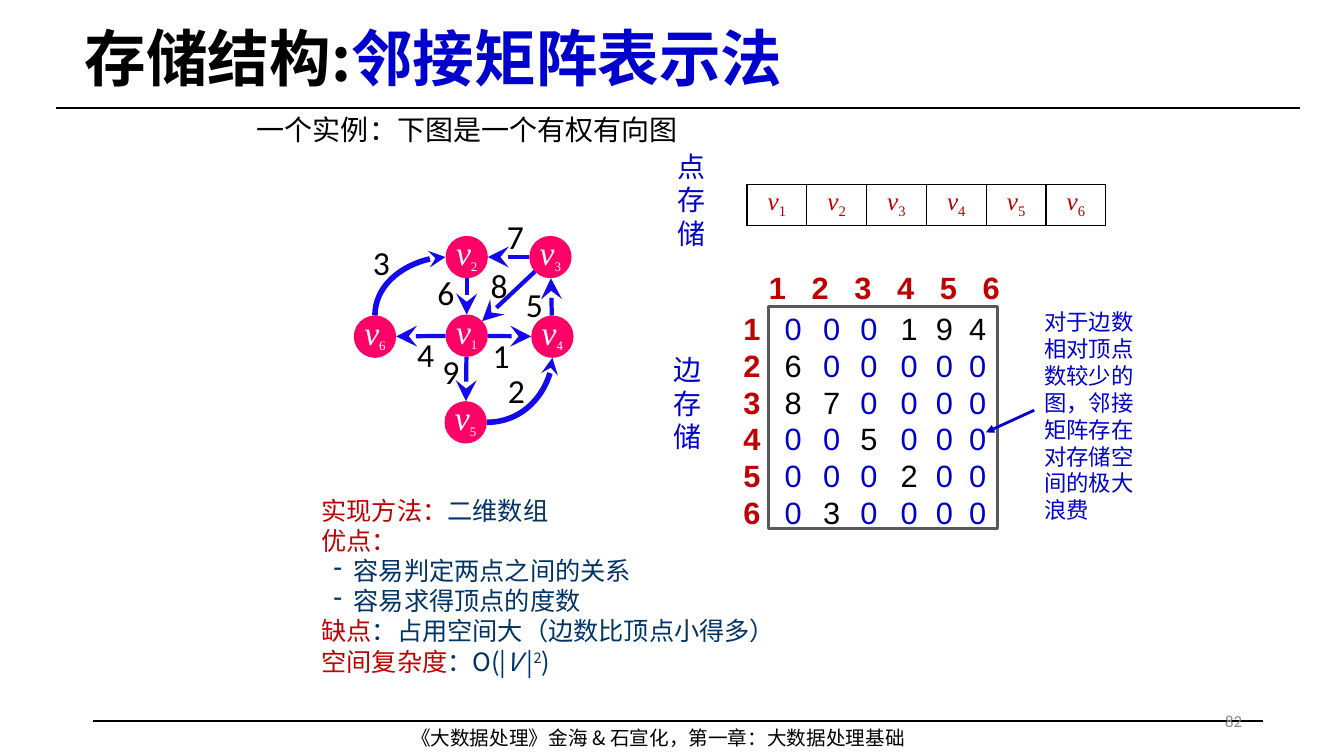
from math import hypot

from lxml.etree import SubElement
from pptx import Presentation
from pptx.dml.color import RGBColor
from pptx.enum.shapes import MSO_CONNECTOR, MSO_SHAPE
from pptx.enum.text import MSO_ANCHOR, PP_ALIGN
from pptx.oxml.ns import qn
from pptx.util import Inches, Pt

# All lengths count cells of a square grid, 133.3 columns by 75 rows.
CELL = Inches(0.1)
COLUMNS, ROWS = 133.33, 75

BLACK = RGBColor(0x00, 0x00, 0x00)
WHITE = RGBColor(0xFF, 0xFF, 0xFF)
BLUE = RGBColor(0x00, 0x00, 0xCC)
EDGE_BLUE = RGBColor(0x13, 0x08, 0xEE)
NAVY = RGBColor(0x00, 0x33, 0x66)
RED = RGBColor(0xC0, 0x00, 0x00)
PINK = RGBColor(0xFF, 0x00, 0x66)
FRAME_GRAY = RGBColor(0x59, 0x59, 0x59)
PAGE_GRAY = RGBColor(0x8C, 0x8C, 0x8C)

CJK, ARIAL, CALIBRI, TIMES = "Noto Sans CJK SC", "Arial", "Calibri", "Times New Roman"

RADIUS = 2.1
VERTEX_CENTERS = {1: (46.3, 33.3), 2: (46.3, 25.5), 3: (54.6, 25.5),
                  4: (54.8, 33.4), 5: (46.2, 41.9), 6: (37.2, 33.4)}
# (from, to): weight, left and top of the weight's label
EDGES = {(1, 4): (1, 47.9, 32.7), (1, 5): (9, 42.9, 34.3), (1, 6): (4, 40.4, 32.6),
         (2, 1): (6, 42.4, 26.5), (3, 1): (8, 47.7, 25.8), (3, 2): (7, 49.3, 20.9),
         (4, 3): (5, 51.2, 27.7), (5, 4): (2, 49.4, 36.2), (6, 2): (3, 36, 23.5)}
CURVED_EDGES = [(5, 4), (6, 2)]
MATRIX_COLUMN_LEFTS = [77, 80.8, 84.5, 88.5, 92, 95.3]
HEADER_STEP = 4.24


def cells(*counts):
    return [round(count * CELL) for count in counts]


def style_run(run, size, font, color, bold=False, italic=False, baseline=0):
    run.font.size = Pt(size)
    run.font.name = font
    run.font.bold = bold
    run.font.italic = italic
    run.font.color.rgb = color
    properties = run.font._element
    SubElement(properties, qn("a:ea")).set("typeface", font)
    if baseline:
        properties.set("baseline", str(baseline * 1000))


def write(frame, paragraphs, size, font, color, align=PP_ALIGN.LEFT, spacing=None, bold=False):
    """Fill a frame; each paragraph is a string or a list of (text, style changes)."""
    for index, content in enumerate(paragraphs):
        paragraph = frame.add_paragraph() if index else frame.paragraphs[0]
        paragraph.alignment = align
        paragraph.line_spacing = spacing or Pt(size * 1.2)
        pieces = [(content, {})] if isinstance(content, str) else content
        for text, changes in pieces:
            run = paragraph.add_run()
            run.text = text
            style_run(run, **{"size": size, "font": font, "color": color, "bold": bold, **changes})


def add_text(slide, box, paragraphs, size, font, color, wrap=True, side_inset=1, **options):
    textbox = slide.shapes.add_textbox(*cells(*box))
    frame = textbox.text_frame
    frame.word_wrap = wrap
    frame.margin_left = frame.margin_right = round(side_inset * CELL)
    write(frame, paragraphs, size, font, color, **options)
    return textbox


def add_line(slide, start, end, color, width, kind=MSO_CONNECTOR.STRAIGHT,
             arrow=None, arrow_end="tailEnd", arrow_size="med"):
    line = slide.shapes.add_connector(kind, *cells(*start, *end))
    line.line.color.rgb = color
    line.line.width = Pt(width)
    if arrow:
        tip = SubElement(line.line._get_or_add_ln(), qn(f"a:{arrow_end}"))
        for key, value in (("type", arrow), ("w", arrow_size), ("len", arrow_size)):
            tip.set(key, value)
    SubElement(line._element.spPr, qn("a:effectLst"))
    return line


def add_arc(slide, start, end, arrow_end):
    """Draw a quarter bend that leaves start sideways and meets end upright."""
    arc = add_line(slide, start, end, EDGE_BLUE, 4, MSO_CONNECTOR.CURVE, "stealth", arrow_end)
    arc._element.spPr.find(qn("a:prstGeom")).set("prst", "curvedConnector2")


def vertex_name(number):
    return [("v", {"italic": True}), (str(number), {"baseline": -25})]


def add_vertex(slide, number):
    x, y = VERTEX_CENTERS[number]
    vertex = slide.shapes.add_shape(
        MSO_SHAPE.OVAL, *cells(x - RADIUS, y - RADIUS, 2 * RADIUS, 2 * RADIUS))
    vertex.shadow.inherit = False
    vertex.fill.solid()
    vertex.fill.fore_color.rgb = PINK
    vertex.line.fill.background()
    frame = vertex.text_frame
    frame.word_wrap = False
    frame.vertical_anchor = MSO_ANCHOR.MIDDLE
    frame.margin_left = frame.margin_right = frame.margin_top = 0
    frame.margin_bottom = round(0.7 * CELL)
    letter, index = vertex_name(number)
    index[1]["size"] = 16
    write(frame, [[letter, index]], 24, TIMES, WHITE, align=PP_ALIGN.CENTER)


def add_straight_edge(slide, source, target):
    (x1, y1), (x2, y2) = VERTEX_CENTERS[source], VERTEX_CENTERS[target]
    share = RADIUS / hypot(x2 - x1, y2 - y1)
    dx, dy = (x2 - x1) * share, (y2 - y1) * share
    add_line(slide, (x1 + dx, y1 + dy), (x2 - dx, y2 - dy), EDGE_BLUE, 3,
             arrow="stealth", arrow_size="lg")


def add_graph(slide):
    for number in VERTEX_CENTERS:
        add_vertex(slide, number)
    for edge, (weight, left, top) in EDGES.items():
        if edge not in CURVED_EDGES:
            add_straight_edge(slide, *edge)
        add_text(slide, (left, top, 3.7, 5.1), [str(weight)], 24, CALIBRI, BLACK, wrap=False)
    (x2, y2), (x4, y4), (x5, y5), (x6, y6) = (VERTEX_CENTERS[n] for n in (2, 4, 5, 6))
    add_arc(slide, (x5 + RADIUS, y5), (x4, y4 + RADIUS), "tailEnd")
    add_arc(slide, (x2 - RADIUS, y2), (x6, y6 - RADIUS), "headEnd")


def add_vertex_table(slide):
    graphic = slide.shapes.add_table(1, len(VERTEX_CENTERS), *cells(74.1, 18.3, 35.6, 4.1))
    table = graphic.table
    table.first_row = table.horz_banding = False
    for number, cell in enumerate(table.rows[0].cells, 1):
        write(cell.text_frame, [vertex_name(number)], 18, TIMES, RED, align=PP_ALIGN.CENTER)
        cell.fill.background()
        properties = cell._tc.get_or_add_tcPr()
        for position, side in enumerate(("lnL", "lnR", "lnT", "lnB")):
            border = SubElement(properties, qn(f"a:{side}"))
            border.set("w", str(Pt(1)))
            fill = SubElement(border, qn("a:solidFill"))
            SubElement(fill, qn("a:srgbClr")).set("val", str(BLACK))
            properties.insert(position, border)


def add_matrix(slide):
    frame = slide.shapes.add_shape(MSO_SHAPE.RECTANGLE, *cells(76.2, 30.4, 22.8, 22))
    frame.shadow.inherit = False
    frame.fill.background()
    frame.line.color.rgb = FRAME_GRAY
    frame.line.width = Pt(2)

    numbers = [str(number) for number in VERTEX_CENTERS]
    add_text(slide, (72.9, 30.2, 3.4, 22), numbers, 22, ARIAL, RED,
             side_inset=0, align=PP_ALIGN.CENTER, bold=True)
    header = add_text(slide, (75.3, 26.2, 27, 2.9), ["\t".join(numbers)], 22, ARIAL, RED, bold=True)
    tabs = SubElement(header.text_frame.paragraphs[0]._p.get_or_add_pPr(), qn("a:tabLst"))
    for step in range(1, len(numbers)):
        stop = SubElement(tabs, qn("a:tab"))
        stop.set("pos", str(round(step * HEADER_STEP * CELL)))
        stop.set("algn", "l")

    for target, left in enumerate(MATRIX_COLUMN_LEFTS, 1):
        weights = [EDGES.get((source, target), (0,))[0] for source in VERTEX_CENTERS]
        column = [[(str(weight), {"color": BLACK if weight else BLUE})] for weight in weights]
        add_text(slide, (left, 30.2, 3.4, 22), column, 22, ARIAL, BLUE,
                 side_inset=0, align=PP_ALIGN.CENTER)


def add_summary(slide):
    red = {"color": RED}
    summary = add_text(slide, (30.9, 48.6, 51.2, 19.2), [
        [("实现方法：", red), ("二维数组", {})],
        [("优点：", red)],
        "容易判定两点之间的关系",
        "容易求得顶点的度数",
        [("缺点", red), ("：占用空间大（边数比顶点小得多）", {})],
        [("空间复杂度", red), ("：O(|", {}), ("V ", {"italic": True}), ("|", {}),
         ("2", {"baseline": 30}), (")", {})],
    ], 18, CJK, NAVY)
    for advantage in summary.text_frame.paragraphs[2:4]:
        properties = advantage._p.get_or_add_pPr()
        properties.set("marL", str(round(3.2 * CELL)))
        properties.set("indent", str(round(-2 * CELL)))
        SubElement(properties, qn("a:buChar")).set("char", "-")


def add_title(slide):
    title = slide.shapes.title
    title.left, title.top, title.width, title.height = cells(7.4, 1.5, 119.5, 9.2)
    title.text_frame.vertical_anchor = MSO_ANCHOR.MIDDLE
    write(title.text_frame, [[("存储结构:", {}), ("邻接矩阵表示法", {"color": BLUE})]],
          44, CJK, BLACK, spacing=0.9, bold=True)


def main():
    deck = Presentation()
    deck.slide_width, deck.slide_height = cells(COLUMNS, ROWS)
    slide = deck.slides.add_slide(deck.slide_layouts[5])

    add_line(slide, (5.6, 10.7), (129, 10.7), BLACK, 1.75)
    add_line(slide, (9.2, 71.5), (125.3, 71.5), BLACK, 1.25)
    add_text(slide, (39.8, 71.5, 53.7, 3.4),
             ["《大数据处理》金海 & 石宣化，第一章：大数据处理基础"], 14, CJK, BLACK)
    add_title(slide)
    add_text(slide, (24.5, 10.7, 44.1, 4.4), ["一个实例：下图是一个有权有向图"],
             20, CJK, BLACK, wrap=False)
    add_graph(slide)
    for caption, left, top in (("点存储", 66.2, 14.3), ("边存储", 65.8, 34.5)):
        add_text(slide, (left, top, 4.8, 11.1), list(caption), 20, CJK, BLUE, wrap=False)
    add_vertex_table(slide)
    add_matrix(slide)
    waste_note = add_text(slide, (102.6, 30.1, 11.8, 21.2),
                          ["对于边数相对顶点数较少的图，邻接矩阵存在对存储空间的极大浪费"], 16, CJK, BLUE)
    pointer = add_line(slide, (102.6, 40.7), (97.8, 42.9), BLUE, 2, arrow="triangle")
    pointer.begin_connect(waste_note, 1)
    add_summary(slide)
    page = add_text(slide, (94.2, 69.5, 30, 4), ["82"], 12, CALIBRI, PAGE_GRAY, align=PP_ALIGN.RIGHT)
    page.text_frame.vertical_anchor = MSO_ANCHOR.MIDDLE

    deck.save("out.pptx")


if __name__ == "__main__":
    main()
